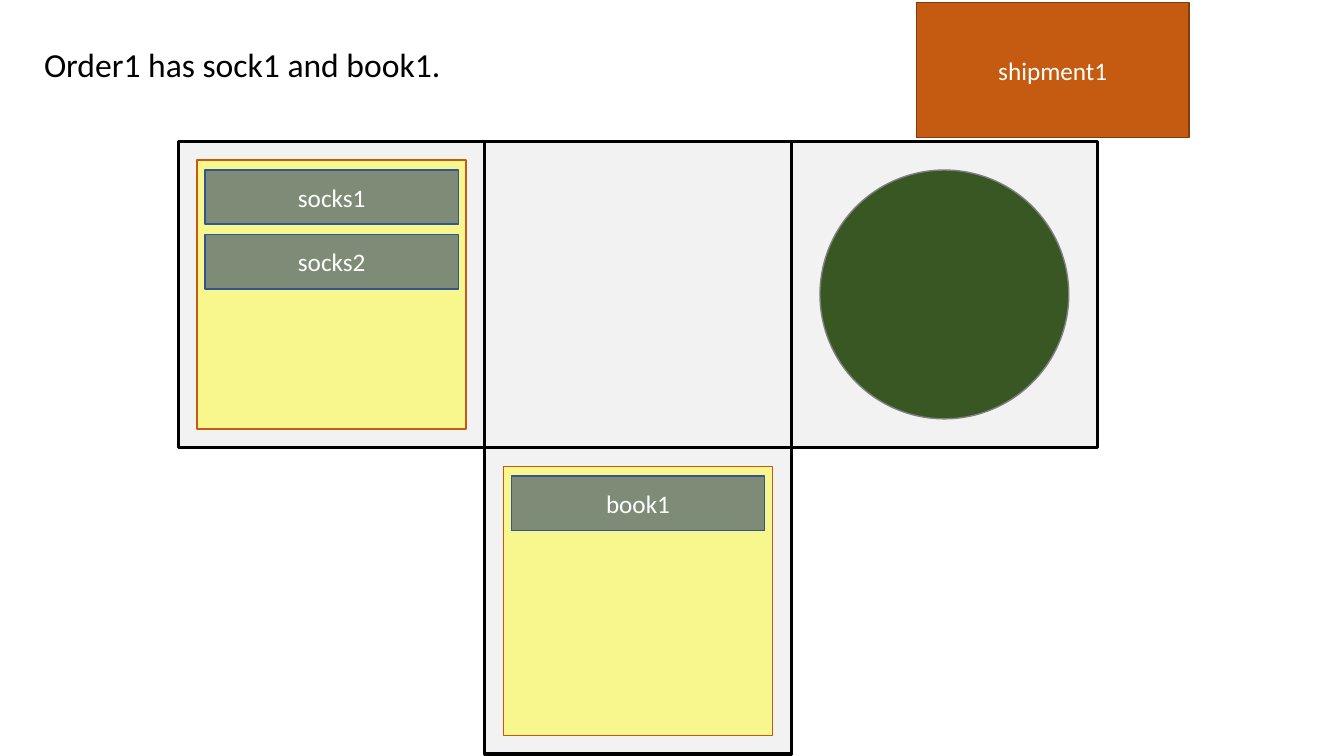
import lxml.etree
import pptx
import pptx.dml.color
import pptx.enum.shapes
import pptx.enum.text
import pptx.oxml.ns
import pptx.util

Cm = pptx.util.Cm
Pt = pptx.util.Pt
RECTANGLE = pptx.enum.shapes.MSO_SHAPE.RECTANGLE
OVAL = pptx.enum.shapes.MSO_SHAPE.OVAL

CELL = 7.72
GRID_LEFT = 4.5
GRID_TOP = 3.56
CRATE = 6.78
CIRCLE = 6.27
ITEM_WIDTH = 6.38
ITEM_HEIGHT = 1.37
ITEM_PITCH = 1.63


def set_color(target, hex_color):
    target.rgb = pptx.dml.color.RGBColor.from_string(hex_color)


def format_text(text_frame, size, hex_color):
    for paragraph in text_frame.paragraphs:
        for run in paragraph.runs:
            run.font.name = "Calibri"
            run.font.size = Pt(size)
            set_color(run.font.color, hex_color)


def set_opacity(shape, percent):
    color = shape.fill._xPr.find(".//" + pptx.oxml.ns.qn("a:srgbClr"))
    alpha = lxml.etree.SubElement(color, pptx.oxml.ns.qn("a:alpha"))
    alpha.set("val", str(percent * 1000))


def add_block(slide, kind, left, top, width, height, fill, line,
              line_width=1, opacity=100, text=""):
    shape = slide.shapes.add_shape(kind, Cm(left), Cm(top), Cm(width), Cm(height))
    shape.shadow.inherit = False
    shape.fill.solid()
    set_color(shape.fill.fore_color, fill)
    if opacity < 100:
        set_opacity(shape, opacity)
    set_color(shape.line.color, line)
    shape.line.width = Pt(line_width)
    if text:
        text_frame = shape.text_frame
        text_frame.text = text
        text_frame.vertical_anchor = pptx.enum.text.MSO_ANCHOR.MIDDLE
        text_frame.paragraphs[0].alignment = pptx.enum.text.PP_ALIGN.CENTER
        format_text(text_frame, 18, "FFFFFF")
    return shape


def cell_corner(column, row):
    return GRID_LEFT + column * CELL, GRID_TOP + row * CELL


def add_cell(slide, column, row):
    left, top = cell_corner(column, row)
    add_block(slide, RECTANGLE, left, top, CELL, CELL, "F2F2F2", "000000", 2.25)


def add_circle(slide, column, row):
    left, top = cell_corner(column, row)
    margin = (CELL - CIRCLE) / 2
    add_block(slide, OVAL, left + margin, top + margin, CIRCLE, CIRCLE,
              "385723", "808080")


def add_crate(slide, column, row, items):
    left, top = cell_corner(column, row)
    margin = (CELL - CRATE) / 2
    add_block(slide, RECTANGLE, left + margin, top + margin, CRATE, CRATE,
              "FFFF00", "C55A11", opacity=41)
    item_left = left + (CELL - ITEM_WIDTH) / 2
    for index, item in enumerate(items):
        item_top = top + margin + 0.25 + index * ITEM_PITCH
        add_block(slide, RECTANGLE, item_left, item_top, ITEM_WIDTH, ITEM_HEIGHT,
                  "203864", "325491", opacity=56, text=item)


def add_caption(slide, text):
    caption = slide.shapes.add_textbox(Cm(0.86), Cm(0.99), Cm(10.69), Cm(1.28))
    text_frame = caption.text_frame
    text_frame.word_wrap = True
    text_frame.auto_size = pptx.enum.text.MSO_AUTO_SIZE.SHAPE_TO_FIT_TEXT
    text_frame.text = text
    format_text(text_frame, 24, "000000")


def main():
    presentation = pptx.Presentation()
    presentation.slide_width = Cm(33.87)
    presentation.slide_height = Cm(19.05)
    slide = presentation.slides.add_slide(presentation.slide_layouts[6])

    for column in range(3):
        add_cell(slide, column, 0)
    add_circle(slide, 2, 0)
    add_crate(slide, 0, 0, ["socks1", "socks2"])
    add_block(slide, RECTANGLE, 23.09, 0.07, 6.88, 3.4, "C55A11", "843C0B",
              text="shipment1")
    add_cell(slide, 1, 1)
    add_crate(slide, 1, 1, ["book1"])
    add_caption(slide, "Order1 has sock1 and book1.")

    presentation.save("out.pptx")


main()
